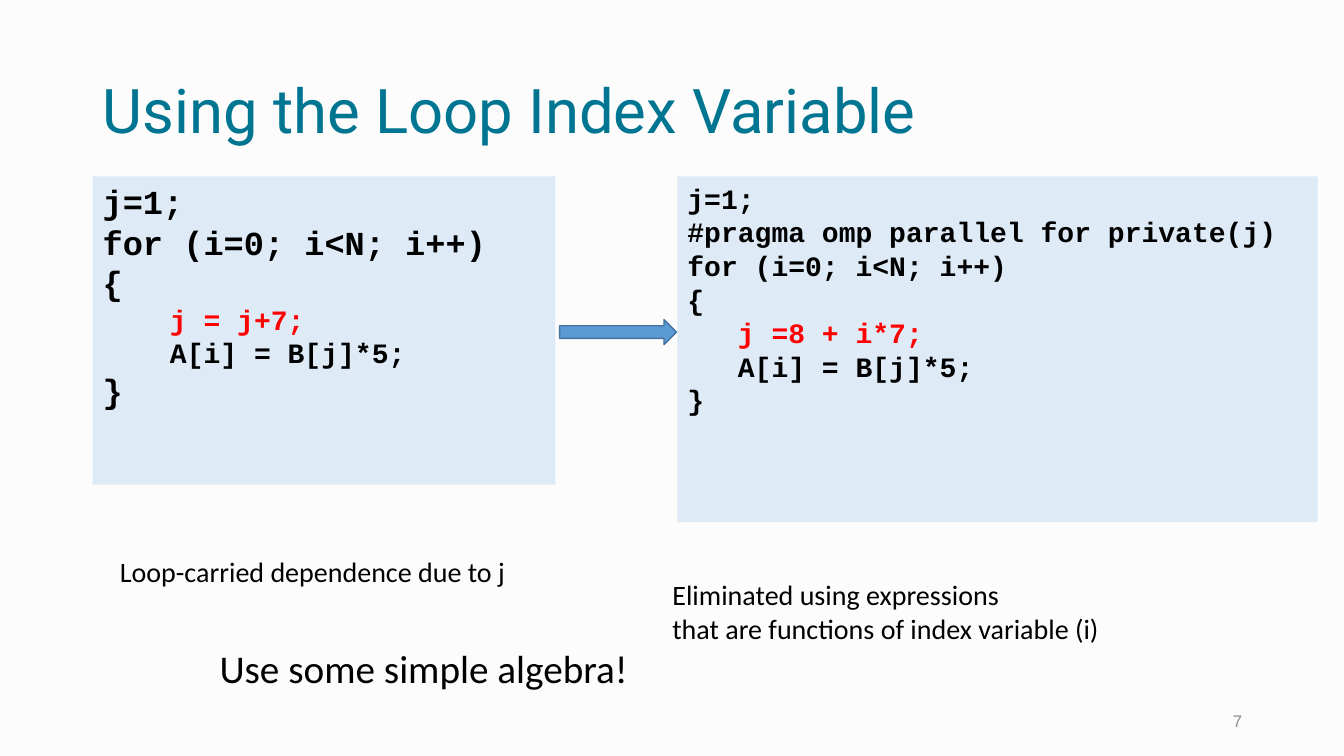
import dataclasses

import pptx
import pptx.dml.color
import pptx.enum.shapes
import pptx.enum.text
import pptx.util

ALIGN = pptx.enum.text.PP_ALIGN
ANCHOR = pptx.enum.text.MSO_ANCHOR
SHAPE = pptx.enum.shapes.MSO_SHAPE


@dataclasses.dataclass(frozen=True)
class Theme:
    background: str = "FCFCFC"
    title: str = "007592"
    text: str = "000000"
    changed: str = "FF0000"
    muted: str = "8C8C8C"
    panel: str = "DEEBF7"
    arrow: str = "5B9BD5"
    arrow_edge: str = "43739E"
    title_size: int = 44
    remark_size: int = 28
    code_size: int = 24
    body_size: int = 20
    number_size: int = 12
    title_font: str = "Roboto"
    code_font: str = "Courier New"
    body_font: str = "Calibri"
    number_font: str = "Arial"


THEME = Theme()
WIDTH = pptx.util.Inches(13.33)
HEIGHT = pptx.util.Inches(7.5)

# Shared grid positions, in percent of the slide
MARGIN = 6.9
CODE_TOP = 23.33


def color(value):
    return pptx.dml.color.RGBColor.from_string(value)


def area(left, top, width, height):
    """Turn percentages of the slide into lengths."""
    return [round(share * side / 100) for share, side in
            zip((left, top, width, height), (WIDTH, HEIGHT, WIDTH, HEIGHT))]


def line(text, size, font=THEME.body_font, ink=THEME.text, bold=False):
    """Describe one paragraph as its text and its font values."""
    return text, {"name": font, "size": pptx.util.Pt(size), "bold": bold}, ink


def code(text, size=THEME.body_size, ink=THEME.text):
    return line(text, size, THEME.code_font, ink, True)


def write(shape, lines, align=ALIGN.LEFT, anchor=ANCHOR.TOP):
    """Fill a shape with one paragraph per line."""
    frame = shape.text_frame
    frame_format = {"word_wrap": True, "vertical_anchor": anchor,
                    "auto_size": pptx.enum.text.MSO_AUTO_SIZE.NONE}
    for name, value in frame_format.items():
        setattr(frame, name, value)
    for index, (text, font_format, ink) in enumerate(lines):
        paragraph = frame.add_paragraph() if index else frame.paragraphs[0]
        paragraph.alignment = align
        run = paragraph.add_run()
        run.text = text
        for name, value in font_format.items():
            setattr(run.font, name, value)
        run.font.color.rgb = color(ink)


def add_title(slide, text, place):
    title = slide.shapes.title
    for name, value in zip(("left", "top", "width", "height"), place):
        setattr(title, name, value)
    write(title, [line(text, THEME.title_size, THEME.title_font, THEME.title)],
          anchor=ANCHOR.MIDDLE)
    title.text_frame.paragraphs[0].line_spacing = 0.9


def add_shape(slide, kind, place, fill, edge=None):
    shape = slide.shapes.add_shape(kind, *place)
    shape.shadow.inherit = False
    shape.fill.solid()
    shape.fill.fore_color.rgb = color(fill)
    if edge:
        shape.line.color.rgb = color(edge)
        shape.line.width = pptx.util.Pt(1)
    else:
        shape.line.fill.background()
    return shape


def add_code_panel(slide, lines, place):
    write(add_shape(slide, SHAPE.RECTANGLE, place, THEME.panel), lines)


def add_note(slide, lines, place, align=ALIGN.LEFT, anchor=ANCHOR.TOP):
    write(slide.shapes.add_textbox(*place), lines, align, anchor)


def main():
    presentation = pptx.Presentation()
    presentation.slide_width, presentation.slide_height = WIDTH, HEIGHT
    slide = presentation.slides.add_slide(presentation.slide_layouts[5])
    slide.background.fill.solid()
    slide.background.fill.fore_color.rgb = color(THEME.background)

    # Title and slide number
    add_title(slide, "Using the Loop Index Variable",
              area(MARGIN, 5.33, 86.27, 19.33))
    add_note(slide, [line("7", THEME.number_size, THEME.number_font, THEME.muted)],
             area(70.67, 92.67, 22.5, 5.33), ALIGN.RIGHT, ANCHOR.MIDDLE)

    # Loop before and after the change
    add_code_panel(slide, [
        code("j=1;", THEME.code_size),
        code("for (i=0; i<N; i++)", THEME.code_size),
        code("{", THEME.code_size),
        code("    j = j+7;", ink=THEME.changed),
        code("    A[i] = B[j]*5;"),
        code("}", THEME.code_size),
    ], area(MARGIN, CODE_TOP, 34.43, 40.8))
    add_code_panel(slide, [
        code("j=1;"),
        code("#pragma omp parallel for private(j)"),
        code("for (i=0; i<N; i++)"),
        code("{"),
        code("   j =8 + i*7;", ink=THEME.changed),
        code("   A[i] = B[j]*5;"),
        code("}"),
    ], area(50.41, CODE_TOP, 47.64, 45.73))
    add_shape(slide, SHAPE.RIGHT_ARROW, area(41.64, 42.27, 8.7, 3.33),
              THEME.arrow, THEME.arrow_edge)

    # Explanations
    add_note(slide, [
        line("Eliminated using expressions", THEME.body_size),
        line("that are functions of index variable (i)", THEME.body_size),
    ], area(49.29, 75.73, 49.89, 10.27))
    add_note(slide, [line("Loop-carried dependence due to j", THEME.body_size)],
             area(8.18, 72.67, 31.88, 5.87))
    add_note(slide, [line("Use some simple algebra!", THEME.remark_size)],
             area(15.6, 84.53, 32.18, 7.6))

    presentation.save("out.pptx")


if __name__ == "__main__":
    main()
